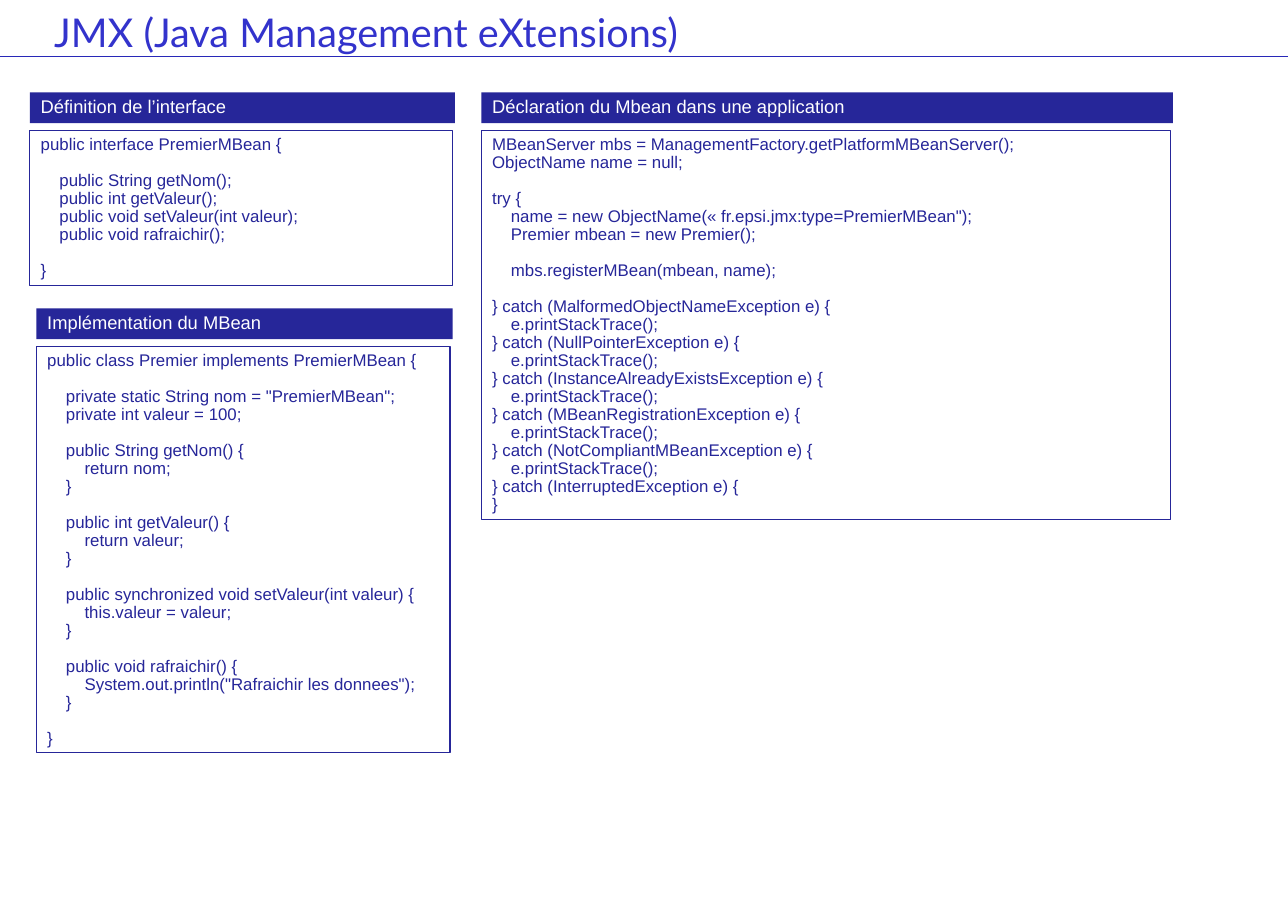
import dataclasses

import lxml.etree
import pptx
import pptx.dml.color
import pptx.enum.shapes
import pptx.enum.text
import pptx.oxml.ns
import pptx.util

Cm, Pt = pptx.util.Cm, pptx.util.Pt
RGB = pptx.dml.color.RGBColor.from_string


@dataclasses.dataclass(frozen=True)
class Theme:
    title: str = "3333CC"
    rule: str = "2828B8"
    navy: str = "262699"
    white: str = "FFFFFF"
    title_font: str = "Lato"
    text_font: str = "Arial"
    title_size: float = 25.9
    heading_size: float = 12
    code_size: float = 11
    line_width: float = 0.75
    blank_line: float = 11.75
    title_spacing: float = 0.93
    text_spacing: float = 0.89


THEME = Theme()

FRAME_FORMAT = {
    "word_wrap": True,
    "vertical_anchor": pptx.enum.text.MSO_ANCHOR.TOP,
    "margin_left": Cm(0.25),
    "margin_right": Cm(0.25),
    "margin_top": Cm(0.13),
    "margin_bottom": Cm(0.13),
}

INTERFACE_CODE = """\
public interface PremierMBean {

    public String getNom();
    public int getValeur();
    public void setValeur(int valeur);
    public void rafraichir();

}"""

CLASS_CODE = """\
public class Premier implements PremierMBean {

    private static String nom = "PremierMBean";
    private int valeur = 100;

    public String getNom() {
        return nom;
    }

    public int getValeur() {
        return valeur;
    }

    public synchronized void setValeur(int valeur) {
        this.valeur = valeur;
    }

    public void rafraichir() {
        System.out.println("Rafraichir les donnees");
    }

}"""

APPLICATION_CODE = """\
MBeanServer mbs = ManagementFactory.getPlatformMBeanServer();
ObjectName name = null;

try {
    name = new ObjectName(« fr.epsi.jmx:type=PremierMBean");
    Premier mbean = new Premier();

    mbs.registerMBean(mbean, name);

} catch (MalformedObjectNameException e) {
    e.printStackTrace();
} catch (NullPointerException e) {
    e.printStackTrace();
} catch (InstanceAlreadyExistsException e) {
    e.printStackTrace();
} catch (MBeanRegistrationException e) {
    e.printStackTrace();
} catch (NotCompliantMBeanException e) {
    e.printStackTrace();
} catch (InterruptedException e) {
}"""

# Heading, code, left, top, width and code height in centimetres
PANELS = [
    ("Définition de l’interface", INTERFACE_CODE, 0.69, 2.13, 9.8, 3.58),
    ("Implémentation du MBean", CLASS_CODE, 0.84, 7.11, 9.6, 9.37),
    ("Déclaration du Mbean dans une application", APPLICATION_CODE,
     11.1, 2.13, 15.95, 8.97),
]


def apply(target, values):
    for name, value in values.items():
        setattr(target, name, value)


def write(frame, text, font, size, color, spacing):
    """Write the lines of a text; an empty line becomes space before the next."""
    apply(frame, FRAME_FORMAT)
    paragraph, gap = None, 0
    for line in text.splitlines():
        if not line:
            gap += THEME.blank_line
            continue
        paragraph = frame.add_paragraph() if paragraph else frame.paragraphs[0]
        apply(paragraph, {
            "alignment": pptx.enum.text.PP_ALIGN.LEFT,
            "line_spacing": spacing,
            "space_before": Pt(gap),
        })
        run = paragraph.add_run()
        run.text = line
        apply(run.font, {"name": font, "size": Pt(size)})
        run.font.color.rgb = RGB(color)
        gap = 0


def add_title(slide, left, top, width, height):
    # Rule across the slide
    rule = slide.shapes.add_connector(
        pptx.enum.shapes.MSO_CONNECTOR.STRAIGHT,
        Cm(0), top + Cm(1.15), Cm(29.7), top + Cm(1.15))
    rule.line.color.rgb = RGB(THEME.rule)
    rule.line.width = Pt(THEME.line_width)
    properties = rule.element.find(pptx.oxml.ns.qn("p:spPr"))
    lxml.etree.SubElement(properties, pptx.oxml.ns.qn("a:effectLst"))
    # Title text
    title = slide.shapes.add_textbox(left, top, width, height)
    write(title.text_frame, "JMX (Java Management eXtensions)",
          THEME.title_font, THEME.title_size, THEME.title, THEME.title_spacing)


def add_rectangle(slide, left, top, width, height):
    rectangle = slide.shapes.add_shape(
        pptx.enum.shapes.MSO_SHAPE.RECTANGLE, left, top, width, height)
    rectangle.shadow.inherit = False
    return rectangle


def add_panel(slide, heading, code, left, top, width, code_height):
    # Framed code, slightly narrower than its heading
    listing = add_rectangle(slide, left, top + Cm(0.87), width - Cm(0.06), code_height)
    listing.fill.background()
    listing.line.color.rgb = RGB(THEME.navy)
    listing.line.width = Pt(THEME.line_width)
    write(listing.text_frame, code, THEME.text_font, THEME.code_size,
          THEME.navy, THEME.text_spacing)
    # Heading bar
    bar = add_rectangle(slide, left, top, width, Cm(0.71))
    bar.fill.solid()
    bar.fill.fore_color.rgb = RGB(THEME.navy)
    bar.line.fill.background()
    write(bar.text_frame, heading, THEME.text_font, THEME.heading_size,
          THEME.white, THEME.text_spacing)


def main():
    deck = pptx.Presentation()
    apply(deck, {"slide_width": Cm(29.7), "slide_height": Cm(21)})
    slide = deck.slides.add_slide(deck.slide_layouts[6])
    add_title(slide, Cm(1), Cm(0.15), Cm(19.4), Cm(1.32))
    for heading, code, *box in PANELS:
        add_panel(slide, heading, code, *map(Cm, box))
    deck.save("out.pptx")


if __name__ == "__main__":
    main()
